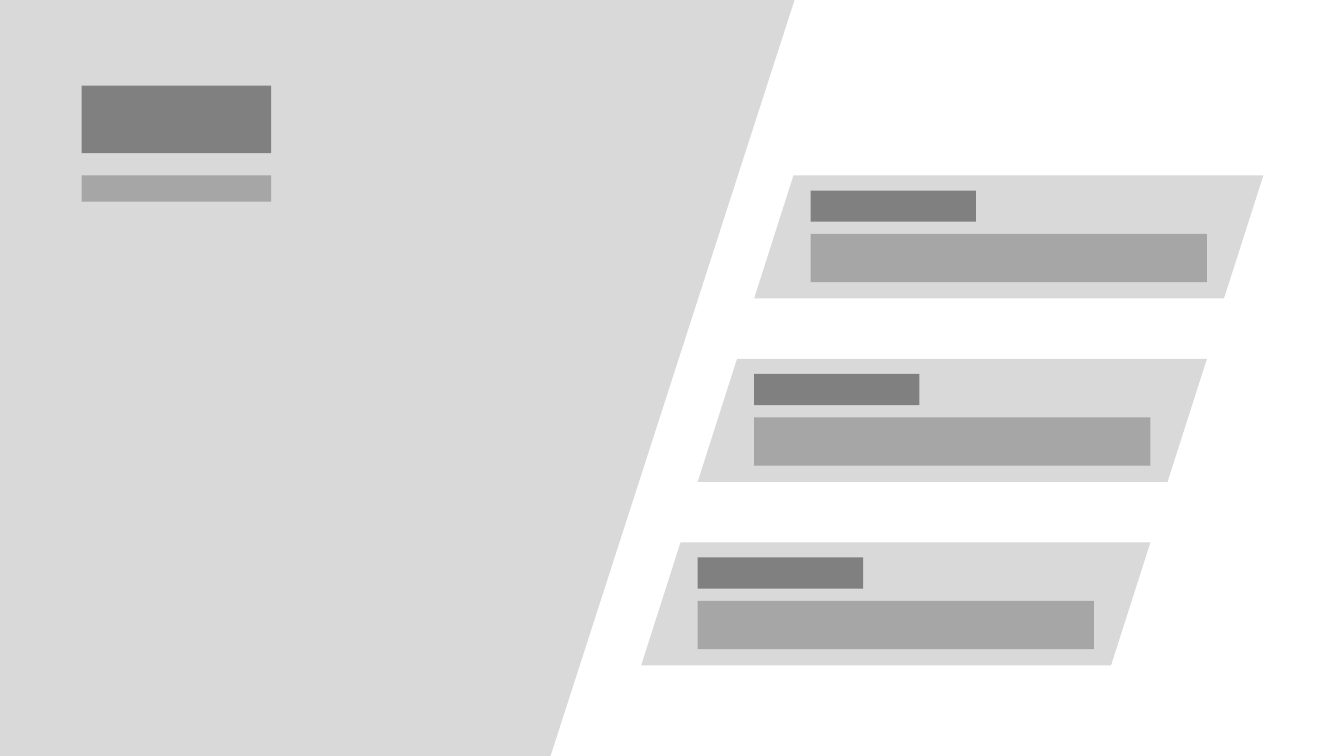
"""Build a slide with a slanted panel and three stepped cards."""
from pptx import Presentation
from pptx.dml.color import RGBColor as Rgb
from pptx.enum.shapes import MSO_SHAPE as Kind
from pptx.util import Inches

WIDE, HIGH = 13.33, 7.5


class Deck:
    colors = {"panel": "D9D9D9", "title": "808080", "body": "A6A6A6"}

    def __init__(self):
        self.prs = Presentation()
        self.prs.slide_width = Inches(WIDE)
        self.prs.slide_height = Inches(HIGH)
        self.slide = self.prs.slides.add_slide(self.prs.slide_layouts[6])

    def paint(self, shape, color):
        shape.shadow.inherit = False
        shape.fill.solid()
        shape.fill.fore_color.rgb = Rgb.from_string(self.colors[color])
        shape.line.fill.background()

    def panel(self, points, color):
        spots = [(Inches(x), Inches(y)) for x, y in points]
        form = self.slide.shapes.build_freeform(*spots[0], scale=1.0)
        form.add_line_segments(spots[1:], close=True)
        self.paint(form.convert_to_shape(), color)

    def block(self, left, top, width, height, color, slant=None):
        kind = Kind.RECTANGLE if slant is None else Kind.PARALLELOGRAM
        shape = self.slide.shapes.add_shape(
            kind, Inches(left), Inches(top), Inches(width), Inches(height))
        if slant is not None:
            shape.adjustments[0] = slant
        self.paint(shape, color)

    def card(self, left, top):
        self.block(left, top, 5.05, 1.22, "panel", slant=0.32)
        self.block(left + 0.56, top + 0.15, 1.64, 0.31, "title")
        self.block(left + 0.56, top + 0.58, 3.93, 0.48, "body")


def main():
    deck = Deck()
    deck.panel([(0, 0), (7.88, 0), (5.46, HIGH), (0, HIGH)], "panel")
    deck.block(0.81, 0.85, 1.88, 0.67, "title")
    deck.block(0.81, 1.74, 1.88, 0.26, "body")
    for step in range(3):
        deck.card(7.48 - 0.56 * step, 1.74 + 1.82 * step)
    deck.prs.save("out.pptx")


if __name__ == "__main__":
    main()
